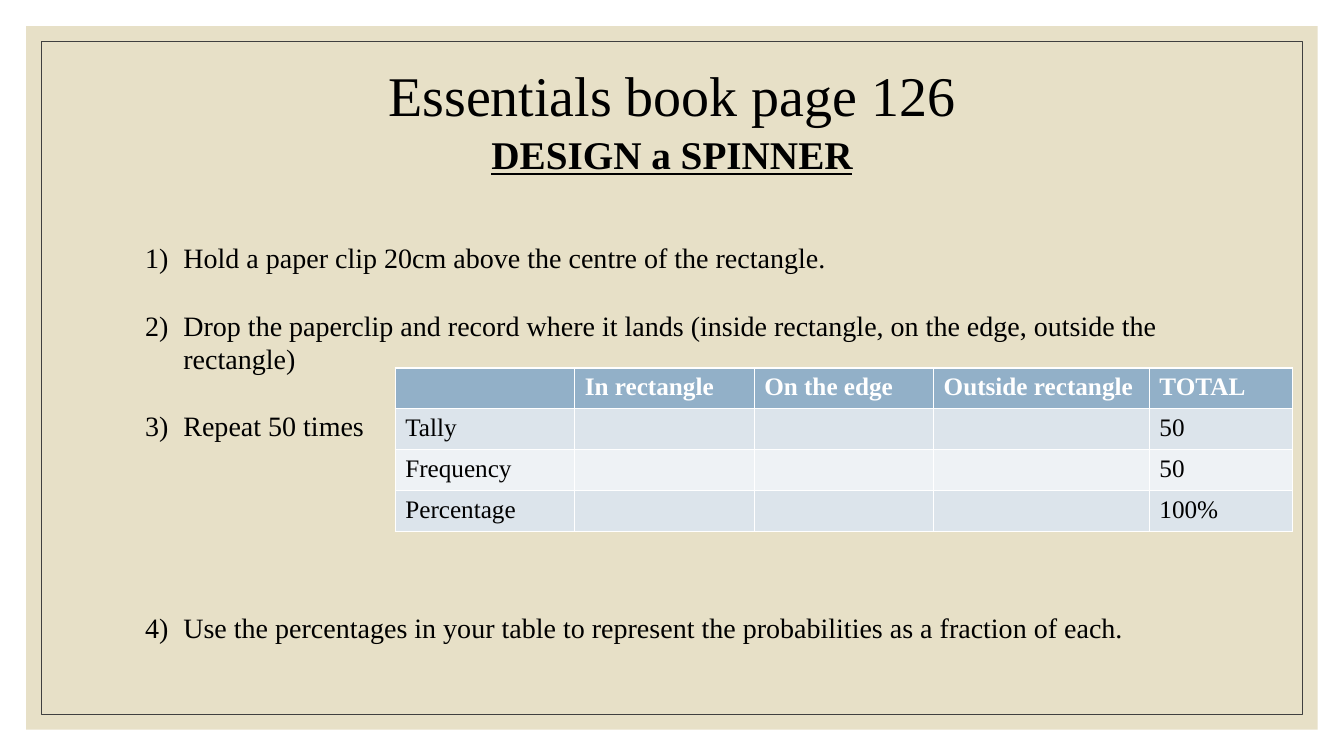
"""Builds the spinner design activity slide with its results table."""
from lxml import etree
from pptx import Presentation
from pptx.dml.color import RGBColor
from pptx.enum.shapes import MSO_SHAPE
from pptx.enum.text import MSO_ANCHOR, PP_ALIGN
from pptx.oxml.ns import qn
from pptx.util import Inches, Pt

RECTANGLE = MSO_SHAPE.RECTANGLE
BOTTOM, TOP = MSO_ANCHOR.BOTTOM, MSO_ANCHOR.TOP
CENTER = PP_ALIGN.CENTER

FONT = "Times New Roman"
COLORS = {"sand": "E7E0C7", "frame": "404040", "ink": "000000", "white": "FFFFFF",
          "header": "92B0C8", "odd": "DCE4EB", "even": "EEF2F5"}
WIDTH, HEIGHT = 13.33, 7.5
TITLE = [("Essentials book page 126", 40, False), ("DESIGN a SPINNER", 28, True)]
LINE = 24
STEPS = [
    ("Hold a paper clip 20cm above the centre of the rectangle.", 0),
    ("Drop the paperclip and record where it lands "
     "(inside rectangle, on the edge, outside the rectangle)", 1),
    ("Repeat 50 times", 1),
    ("Use the percentages in your table to represent the probabilities "
     "as a fraction of each.", 5),
]
RESULTS = [
    ["", "In rectangle", "On the edge", "Outside rectangle", "TOTAL"],
    ["Tally", "", "", "", "50"],
    ["Frequency", "", "", "", "50"],
    ["Percentage", "", "", "", "100%"],
]
COLUMNS = [1.78, 1.78, 1.78, 2.14, 1.42]
ROW = 0.406


def color(name):
    return RGBColor.from_string(COLORS[name])


def style(paragraph, size, ink="ink", bold=False):
    font = paragraph.font
    font.name, font.size, font.bold = FONT, Pt(size), bold
    font.color.rgb = color(ink)


def add_panel(page, margin):
    panel = page.shapes.add_shape(RECTANGLE, Inches(margin), Inches(margin),
                                  Inches(WIDTH - 2 * margin), Inches(HEIGHT - 2 * margin))
    panel.shadow.inherit = False
    return panel


def add_background(page):
    sand = add_panel(page, 0.26)
    sand.fill.solid()
    sand.fill.fore_color.rgb = color("sand")
    sand.line.fill.background()
    frame = add_panel(page, 0.41)
    frame.fill.background()
    frame.line.color.rgb = color("frame")
    frame.line.width = Pt(0.5)


def fill_title(page):
    title = page.shapes.title
    page.shapes._spTree.append(title._element)
    title.left, title.top = Inches(1.34), Inches(0.56)
    title.width, title.height = Inches(10.65), Inches(1.25)
    frame = title.text_frame
    frame.word_wrap = True
    frame.vertical_anchor = BOTTOM
    frame.text = "\n".join(text for text, size, accent in TITLE)
    for paragraph, (text, size, accent) in zip(frame.paragraphs, TITLE):
        paragraph.alignment = CENTER
        paragraph.line_spacing = 1.05
        paragraph.space_before = Pt(0)
        style(paragraph, size, bold=accent)
        paragraph.font.underline = accent


def add_steps(page):
    box = page.shapes.add_textbox(Inches(1.34), Inches(2.34), Inches(10.55), Inches(4.44))
    frame = box.text_frame
    frame.word_wrap = True
    frame.vertical_anchor = TOP
    frame.text = "\n".join(text for text, gap in STEPS)
    for paragraph, (text, gap) in zip(frame.paragraphs, STEPS):
        paragraph.line_spacing = Pt(LINE)
        paragraph.space_before = Pt(gap * LINE)
        properties = paragraph._p.get_or_add_pPr()
        properties.set("marL", str(Inches(0.38)))
        properties.set("indent", str(-Inches(0.38)))
        etree.SubElement(properties, qn("a:buFont"), typeface="+mj-lt")
        etree.SubElement(properties, qn("a:buAutoNum"), type="arabicParenR")
        style(paragraph, 20)


def add_results(page):
    table = page.shapes.add_table(len(RESULTS), len(COLUMNS), Inches(3.92), Inches(3.65),
                                  Inches(sum(COLUMNS)), Inches(ROW * len(RESULTS))).table
    for column, width in zip(table.columns, COLUMNS):
        column.width = Inches(width)
    for r, row in enumerate(RESULTS):
        shade = "header" if r == 0 else "odd" if r % 2 else "even"
        for c, text in enumerate(row):
            cell = table.cell(r, c)
            cell.text = text
            cell.fill.solid()
            cell.fill.fore_color.rgb = color(shade)
            style(cell.text_frame.paragraphs[0], 18, "ink" if r else "white", r == 0)


def main():
    deck = Presentation()
    deck.slide_width, deck.slide_height = Inches(WIDTH), Inches(HEIGHT)
    page = deck.slides.add_slide(deck.slide_layouts[5])
    add_background(page)
    fill_title(page)
    add_steps(page)
    add_results(page)
    deck.save("out.pptx")


if __name__ == "__main__":
    main()
